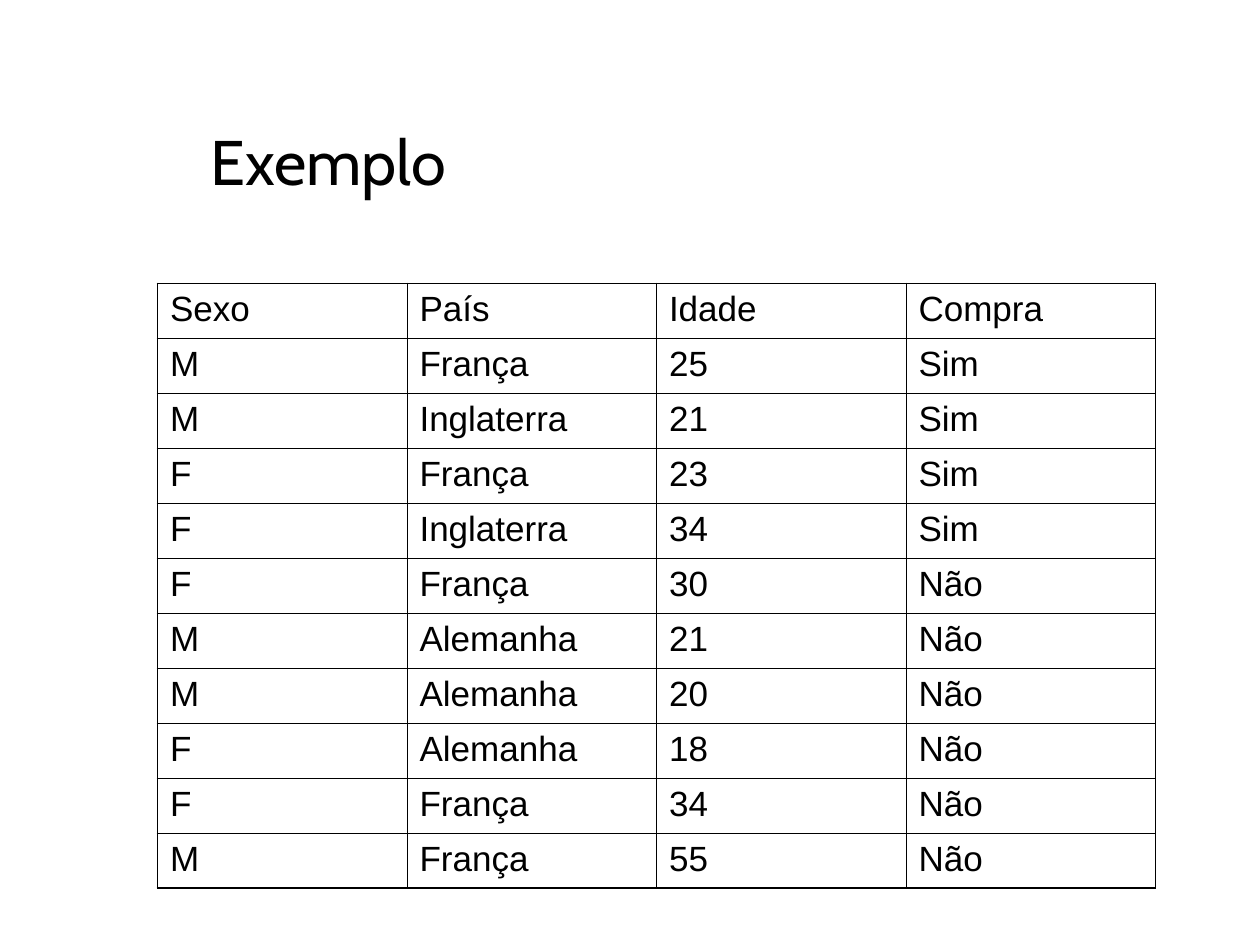
from dataclasses import dataclass

from lxml.etree import SubElement
from pptx import Presentation
from pptx.dml.color import RGBColor
from pptx.enum.text import MSO_ANCHOR, PP_ALIGN
from pptx.oxml.ns import qn
from pptx.util import Inches, Pt


@dataclass(frozen=True)
class Theme:
    ink: str = "000000"
    title_font: str = "Cabin"
    title_size: int = 36
    table_font: str = "Arial"
    table_size: int = 20
    inner_line: float = 0.45
    outer_line: float = 1.08


THEME = Theme()

HEADERS = ("Sexo", "País", "Idade", "Compra")
PURCHASES = (
    ("M", "França", "25", "Sim"),
    ("M", "Inglaterra", "21", "Sim"),
    ("F", "França", "23", "Sim"),
    ("F", "Inglaterra", "34", "Sim"),
    ("F", "França", "30", "Não"),
    ("M", "Alemanha", "21", "Não"),
    ("M", "Alemanha", "20", "Não"),
    ("F", "Alemanha", "18", "Não"),
    ("F", "França", "34", "Não"),
    ("M", "França", "55", "Não"),
)


def write_text(frame, text, *, font, size, color=THEME.ink):
    """Fill a text frame with one left-aligned, formatted paragraph."""
    paragraph = frame.paragraphs[0]
    paragraph.alignment = PP_ALIGN.LEFT
    run = paragraph.add_run()
    run.text = text
    run.font.name = font
    run.font.size = Pt(size)
    run.font.bold = False
    run.font.color.rgb = RGBColor.from_string(color)


def set_border(cell, side, width):
    """Draw one cell edge; side is L, R, T or B."""
    line = SubElement(cell._tc.get_or_add_tcPr(), qn(f"a:ln{side}"), w=str(Pt(width)))
    fill = SubElement(line, qn("a:solidFill"))
    SubElement(fill, qn("a:srgbClr"), val=THEME.ink)


def add_title(slide, text):
    title = slide.shapes.title
    title.left, title.top = Inches(1.57), Inches(0.92)
    title.width, title.height = Inches(5.52), Inches(0.7)
    title.text_frame.vertical_anchor = MSO_ANCHOR.TOP
    write_text(title.text_frame, text, font=THEME.title_font, size=THEME.title_size)


def add_grid(slide, rows):
    row_count, column_count = len(rows), len(rows[0])
    table = slide.shapes.add_table(
        row_count, column_count,
        Inches(1.25), Inches(2.25), Inches(7.92), Inches(4.8),
    ).table
    table.first_row = table.horz_banding = False

    for r, row in enumerate(rows):
        for c, text in enumerate(row):
            cell = table.cell(r, c)
            # Heavier lines on the outside of the table
            on_edge = {
                "L": c == 0,
                "R": c == column_count - 1,
                "T": r == 0,
                "B": r == row_count - 1,
            }
            for side, outside in on_edge.items():
                set_border(cell, side, THEME.outer_line if outside else THEME.inner_line)
            cell.fill.background()
            write_text(cell.text_frame, text, font=THEME.table_font, size=THEME.table_size)


def main():
    presentation = Presentation()
    presentation.slide_width, presentation.slide_height = Inches(10), Inches(7.5)
    slide = presentation.slides.add_slide(presentation.slide_layouts[5])

    # Heading
    add_title(slide, "Exemplo")

    # Purchase data
    add_grid(slide, (HEADERS, *PURCHASES))

    presentation.save("out.pptx")


if __name__ == "__main__":
    main()
